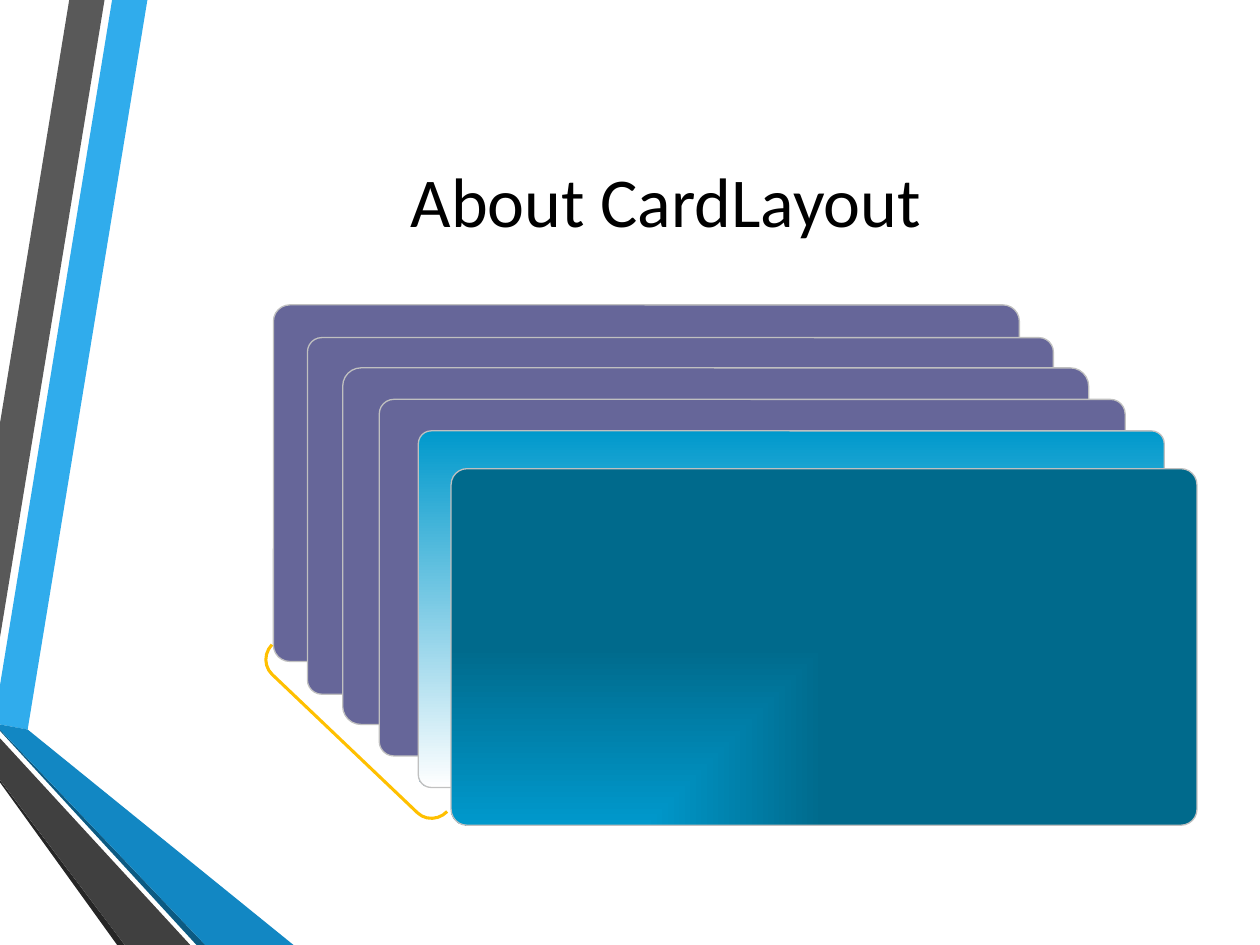
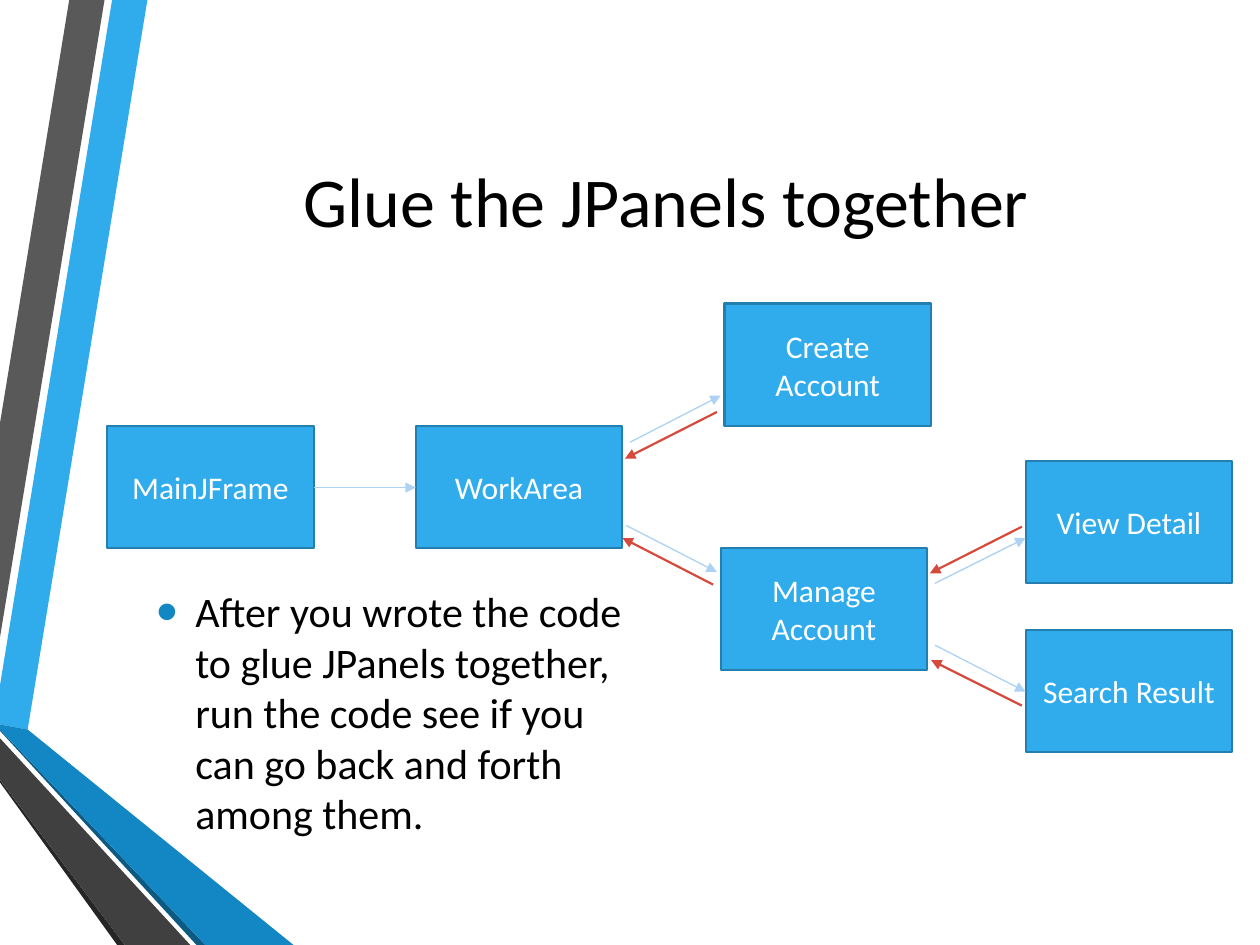
from dataclasses import dataclass
from typing import Optional

from lxml.etree import SubElement
from pptx import Presentation
from pptx.dml.color import RGBColor
from pptx.enum.shapes import MSO_CONNECTOR, MSO_SHAPE
from pptx.enum.text import MSO_ANCHOR, MSO_AUTO_SIZE, PP_ALIGN
from pptx.oxml.ns import qn
from pptx.util import Inches, Pt

COLORS = {
    "text": "000000", "white": "FFFFFF",
    "sky": "30ACEC", "blue": "1287C3", "navy": "0C5A82",
    "gray": "595959", "charcoal": "404040", "black": "262626",
    "box_line": "247FAF", "forward": "AED2F4", "back": "D64A3B",
    "card": "666699", "card_line": "C0C0C0", "cyan": "0099CC",
    "teal": "006A8C", "bracket": "FFC000",
}
FONT = "Calibri"
TITLE_ONLY, TITLE_AND_BODY = 5, 1
CARD_SIZE = (5.92, 2.83)
BOX_SIZE = (1.64, 0.97)
Point = tuple[float, float]


@dataclass
class Band:
    """A coloured strip of the side decoration."""
    color: str
    points: list[Point]


@dataclass
class Card:
    """One rounded card of the stack, with an optional gradient end."""
    left: float
    top: float
    corner: float
    color: str = "card"
    end_color: Optional[str] = None
    from_corner: bool = False


@dataclass
class Panel:
    """A labelled box of the navigation diagram."""
    label: str
    left: float
    top: float


@dataclass
class Arrow:
    """An arrow of the navigation diagram."""
    start: Point
    end: Point
    color: str = "forward"
    width: float = 0.75


BANDS = [
    Band("sky", [(0, 5.44), (0, 5.75), (0.22, 5.79), (1.17, 0), (0.89, 0)]),
    Band("gray", [(0.83, 0), (0.55, 0), (0, 3.36), (0, 5.06)]),
    Band("black", [(0, 6.19), (0, 6.21), (0.93, 7.5), (0.99, 7.5)]),
    Band("navy", [(0, 5.79), (0, 5.8), (1.56, 7.5), (1.63, 7.5)]),
    Band("blue", [(0, 5.79), (1.63, 7.5), (2.33, 7.5), (0.22, 5.79), (0, 5.75)]),
    Band("charcoal", [(0, 6.19), (0.99, 7.5), (1.51, 7.5), (0, 5.86)]),
]
CARDS = [
    Card(2.17, 2.42, 0.046),
    Card(2.44, 2.68, 0.04),
    Card(2.72, 2.92, 0.051),
    Card(3.01, 3.17, 0.041),
    Card(3.32, 3.42, 0.036, "cyan", "white"),
    Card(3.58, 3.72, 0.045, "cyan", "teal", from_corner=True),
]
PANELS = [
    Panel("MainJFrame", 0.85, 3.38),
    Panel("WorkArea", 3.3, 3.38),
    Panel("Create Account", 5.75, 2.41),
    Panel("Manage Account", 5.72, 4.35),
    Panel("View Detail", 8.14, 3.66),
    Panel("Search Result", 8.14, 5),
]
ARROWS = [
    Arrow((2.49, 3.87), (3.3, 3.87)),
    Arrow((5, 3.51), (5.72, 3.14)),
    Arrow((4.97, 4.17), (5.69, 4.54)),
    Arrow((7.42, 4.63), (8.14, 4.27)),
    Arrow((7.42, 5.12), (8.14, 5.49)),
    Arrow((5.66, 4.64), (4.94, 4.27), "back", 1.25),
    Arrow((8.11, 5.6), (7.39, 5.24), "back", 1.25),
    Arrow((8.11, 4.18), (7.38, 4.55), "back", 1.25),
    Arrow((5.69, 3.27), (4.96, 3.64), "back", 1.25),
]


def rgb(name: str) -> RGBColor:
    """Look up a named colour."""
    return RGBColor.from_string(COLORS[name])


def place(shape, left: float, top: float, width: float, height: float) -> None:
    """Move and size a shape, in inches."""
    shape.left, shape.top = Inches(left), Inches(top)
    shape.width, shape.height = Inches(width), Inches(height)


def set_text(shape, text: str, size: float, color: str,
             align: Optional[PP_ALIGN] = None):
    """Write one vertically centred paragraph and return it."""
    frame = shape.text_frame
    frame.text = text
    frame.word_wrap = True
    frame.auto_size = MSO_AUTO_SIZE.NONE
    frame.vertical_anchor = MSO_ANCHOR.MIDDLE
    paragraph = frame.paragraphs[0]
    paragraph.alignment = align
    paragraph.font.name = FONT
    paragraph.font.size = Pt(size)
    paragraph.font.color.rgb = rgb(color)
    return paragraph


def set_line(shape, color: str, width: float) -> None:
    """Give a shape or connector its line."""
    shape.line.color.rgb = rgb(color)
    shape.line.width = Pt(width)


def add_band(page, band: Band) -> None:
    """Draw one strip of the side decoration."""
    start, *rest = [(Inches(x), Inches(y)) for x, y in band.points]
    builder = page.shapes.build_freeform(*start)
    builder.add_line_segments(rest, close=True)
    shape = builder.convert_to_shape()
    shape.shadow.inherit = False
    shape.fill.solid()
    shape.fill.fore_color.rgb = rgb(band.color)
    shape.line.fill.background()


def add_page(deck, layout: int, title: str):
    """Add a slide with the side decoration and a centred title."""
    page = deck.slides.add_slide(deck.slide_layouts[layout])
    for band in BANDS:
        add_band(page, band)
    place(page.shapes.title, 1.07, 0.5, 8.43, 2.17)
    set_text(page.shapes.title, title, 40, "text", PP_ALIGN.CENTER)
    return page


def add_box(page, kind: MSO_SHAPE, left: float, top: float, size: Point):
    """Add a preset shape without shadow."""
    box = page.shapes.add_shape(kind, *(Inches(v) for v in (left, top, *size)))
    box.shadow.inherit = False
    return box


def fill_gradient(shape, start: str, end: str, from_corner: bool) -> None:
    """Fill downwards, or outwards from the lower left corner."""
    shape.fill.gradient()
    for stop, color in zip(shape.fill.gradient_stops, (start, end)):
        stop.color.rgb = rgb(color)
    shape.fill.gradient_angle = 270
    if from_corner:
        gradient = shape._element.spPr.find(qn("a:gradFill"))
        gradient.remove(gradient.find(qn("a:lin")))
        outline = SubElement(gradient, qn("a:path"), {"path": "rect"})
        SubElement(outline, qn("a:fillToRect"), {"t": "100000", "r": "100000"})


def add_card(page, card: Card) -> None:
    """Draw one card of the stack."""
    box = add_box(page, MSO_SHAPE.ROUNDED_RECTANGLE, card.left, card.top, CARD_SIZE)
    box.adjustments[0] = card.corner
    if card.end_color:
        fill_gradient(box, card.color, card.end_color, card.from_corner)
    else:
        box.fill.solid()
        box.fill.fore_color.rgb = rgb(card.color)
    set_line(box, "card_line", 0.75)


def add_bracket(page) -> None:
    """Draw the slanted bracket along the card corners."""
    bracket = add_box(page, MSO_SHAPE.LEFT_BRACKET, 2.71, 4.88, (0.17, 1.92))
    bracket.adjustments[0] = 0.958
    bracket.rotation = 313.6
    bracket.fill.background()
    set_line(bracket, "bracket", 1.75)


def add_panel(page, panel: Panel) -> None:
    """Draw one labelled box."""
    box = add_box(page, MSO_SHAPE.RECTANGLE, panel.left, panel.top, BOX_SIZE)
    box.fill.solid()
    box.fill.fore_color.rgb = rgb("sky")
    set_line(box, "box_line", 1.25)
    set_text(box, panel.label, 18, "white", PP_ALIGN.CENTER)


def add_arrow(page, arrow: Arrow) -> None:
    """Draw one arrow with a triangular head at its end."""
    ends = [Inches(v) for v in (*arrow.start, *arrow.end)]
    connector = page.shapes.add_connector(MSO_CONNECTOR.STRAIGHT, *ends)
    set_line(connector, arrow.color, arrow.width)
    properties = connector._element.spPr
    SubElement(properties.find(qn("a:ln")), qn("a:tailEnd"), {"type": "triangle"})
    SubElement(properties, qn("a:effectLst"))


def fill_body(body, text: str) -> None:
    """Write the bulleted remark."""
    place(body, 1.14, 4.73, 3.92, 1.84)
    paragraph = set_text(body, text, 24, "text")
    paragraph.space_before, paragraph.space_after = Pt(4.8), Pt(6)
    properties = paragraph._p.get_or_add_pPr()
    properties.set("marL", str(Inches(0.31)))
    properties.set("indent", str(-Inches(0.31)))
    # Bullet parts must precede the default run properties.
    defaults = properties.find(qn("a:defRPr"))
    bullet_color = SubElement(properties, qn("a:buClr"))
    SubElement(bullet_color, qn("a:srgbClr"), {"val": COLORS["blue"]})
    SubElement(properties, qn("a:buSzPct"), {"val": "145000"})
    SubElement(properties, qn("a:buChar"), {"char": "•"})
    properties.append(defaults)


def build_card_page(deck) -> None:
    """Build the slide with the stack of cards."""
    page = add_page(deck, TITLE_ONLY, "About CardLayout")
    for card in CARDS:
        add_card(page, card)
    add_bracket(page)


def build_panel_page(deck) -> None:
    """Build the slide with the navigation diagram."""
    page = add_page(deck, TITLE_AND_BODY, "Glue the JPanels together")
    for panel in PANELS:
        add_panel(page, panel)
    for arrow in ARROWS:
        add_arrow(page, arrow)
    fill_body(page.placeholders[1],
              "After you wrote the code to glue JPanels together, run the code "
              "see if you can go back and forth among them.")


def main() -> None:
    """Build and save the deck."""
    deck = Presentation()
    deck.slide_width, deck.slide_height = Inches(10), Inches(7.5)
    build_card_page(deck)
    build_panel_page(deck)
    deck.save("out.pptx")


main()
